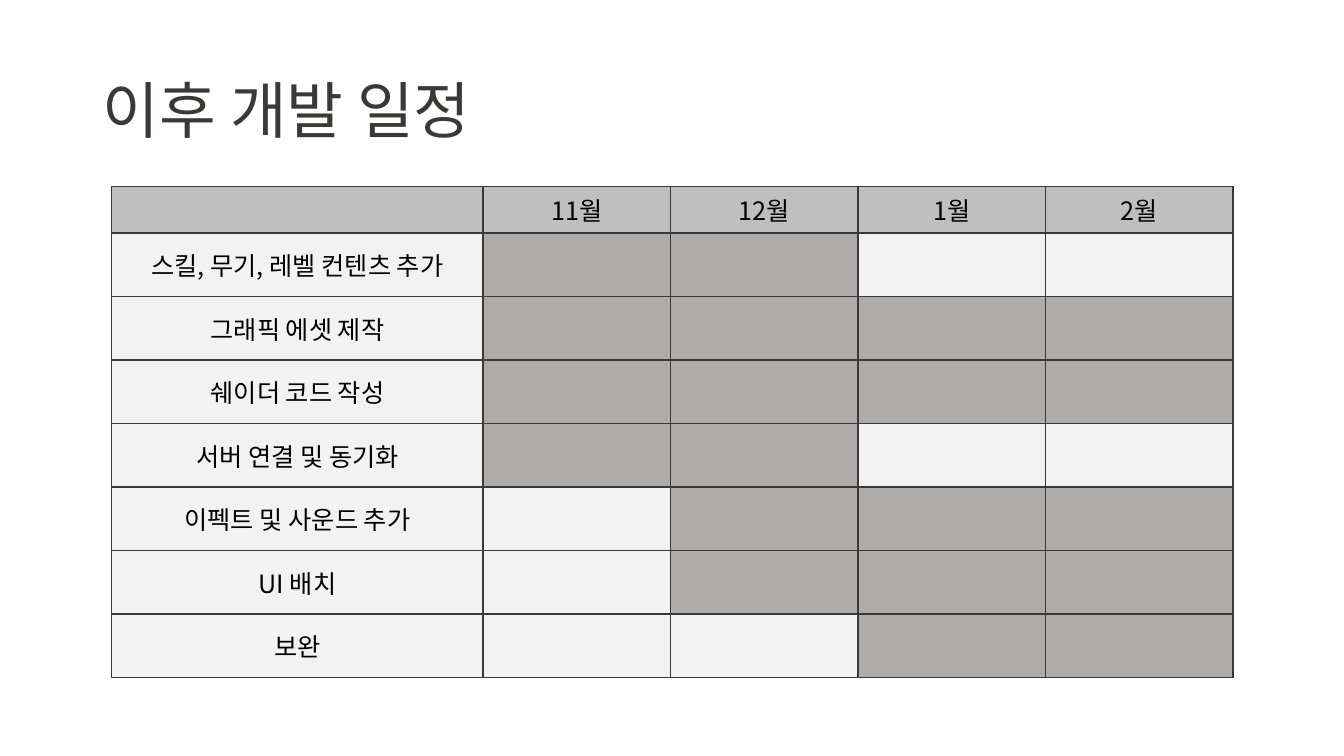
from pptx import Presentation
from pptx.dml.color import RGBColor
from pptx.enum.text import MSO_ANCHOR as Anchor, PP_ALIGN as Align
from pptx.oxml.ns import qn
from pptx.util import Inches, Pt
from lxml.etree import SubElement

# Content: each task with the months in which it is worked on
TITLE = "이후 개발 일정"
MONTHS = ["11월", "12월", "1월", "2월"]
TASKS = [
    ("스킬, 무기, 레벨 컨텐츠 추가", MONTHS[:2]),
    ("그래픽 에셋 제작", MONTHS),
    ("쉐이더 코드 작성", MONTHS),
    ("서버 연결 및 동기화", MONTHS[:2]),
    ("이펙트 및 사운드 추가", MONTHS[1:]),
    ("UI 배치", MONTHS[1:]),
    ("보완", MONTHS[2:]),
]

THEME = {
    "font": "Noto Sans CJK KR",
    "title_size": 44, "cell_size": 18, "border_width": 1,
    "ink": "3B3838", "text": "000000",
    "header": "BFBFBF", "busy": "AFABAB", "free": "F2F2F2",
}

# Layout in inches
SLIDE_WIDTH, SLIDE_HEIGHT = 13.33, 7.5
TITLE_BOX = (0.92, 0.4, 11.5, 1.45)
TABLE_LEFT, TABLE_TOP = 1.11, 1.85
TASK_WIDTH, MONTH_WIDTH = 3.68, 1.86
HEADER_HEIGHT, TASK_HEIGHT = 0.43, 0.63


def write(frame, text, size, color, align, spacing=None):
    para = frame.paragraphs[0]
    para.alignment = align
    para.line_spacing = spacing
    span = para.add_run()
    span.text = text
    span.font.size = Pt(size)
    span.font.name = THEME["font"]
    span.font.color.rgb = RGBColor.from_string(color)
    SubElement(span.font._element, qn("a:ea"), typeface=THEME["font"])


def add_borders(cell):
    properties = cell._tc.get_or_add_tcPr()
    for side in ("lnL", "lnR", "lnT", "lnB"):
        line = SubElement(properties, qn(f"a:{side}"),
                          w=str(Pt(THEME["border_width"])))
        fill = SubElement(line, qn("a:solidFill"))
        SubElement(fill, qn("a:srgbClr"), val=THEME["ink"])


def format_cell(cell, fill, text=""):
    add_borders(cell)
    cell.fill.solid()
    cell.fill.fore_color.rgb = RGBColor.from_string(THEME[fill])
    cell.vertical_anchor = Anchor.MIDDLE
    if text:
        write(cell.text_frame, text, THEME["cell_size"], THEME["text"], Align.CENTER)


deck = Presentation()
deck.slide_width, deck.slide_height = Inches(SLIDE_WIDTH), Inches(SLIDE_HEIGHT)
page = deck.slides.add_slide(deck.slide_layouts.get_by_name("Title Only"))

# Title
title = page.shapes.title
title.left, title.top, title.width, title.height = map(Inches, TITLE_BOX)
title.text_frame.vertical_anchor = Anchor.MIDDLE
write(title.text_frame, TITLE, THEME["title_size"], THEME["ink"], Align.LEFT, spacing=0.9)

# Schedule grid
widths = [TASK_WIDTH] + [MONTH_WIDTH] * len(MONTHS)
heights = [HEADER_HEIGHT] + [TASK_HEIGHT] * len(TASKS)
schedule = page.shapes.add_table(
    len(heights), len(widths), Inches(TABLE_LEFT), Inches(TABLE_TOP),
    Inches(sum(widths)), Inches(sum(heights))).table
for column, width in zip(schedule.columns, widths):
    column.width = Inches(width)
for row, height in zip(schedule.rows, heights):
    row.height = Inches(height)

# Month headings
for column, heading in enumerate([""] + MONTHS):
    format_cell(schedule.cell(0, column), "header", heading)

# Tasks and their busy months
for row, (task, busy_months) in enumerate(TASKS, start=1):
    format_cell(schedule.cell(row, 0), "free", task)
    for column, month in enumerate(MONTHS, start=1):
        format_cell(schedule.cell(row, column), "busy" if month in busy_months else "free")

deck.save("out.pptx")
